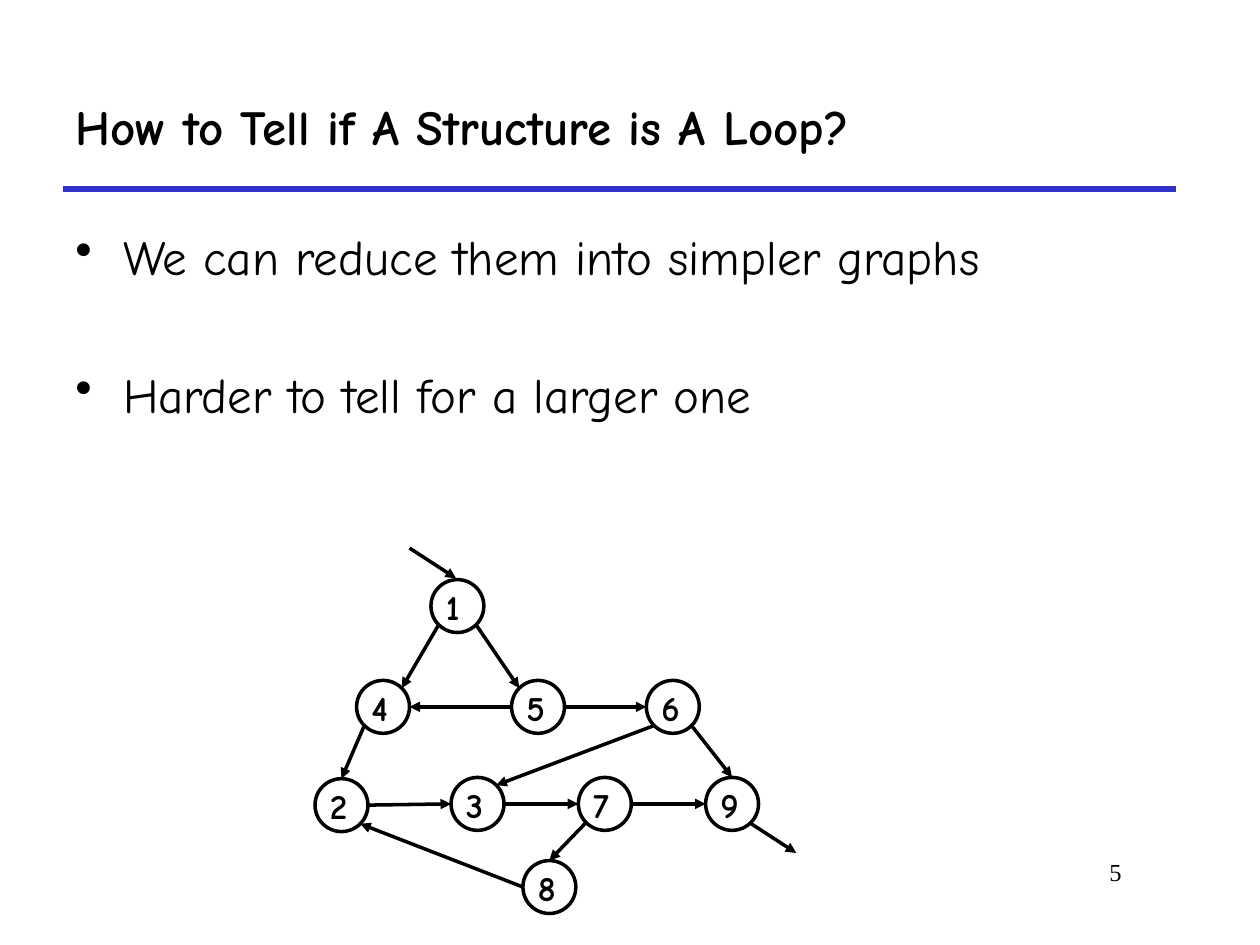
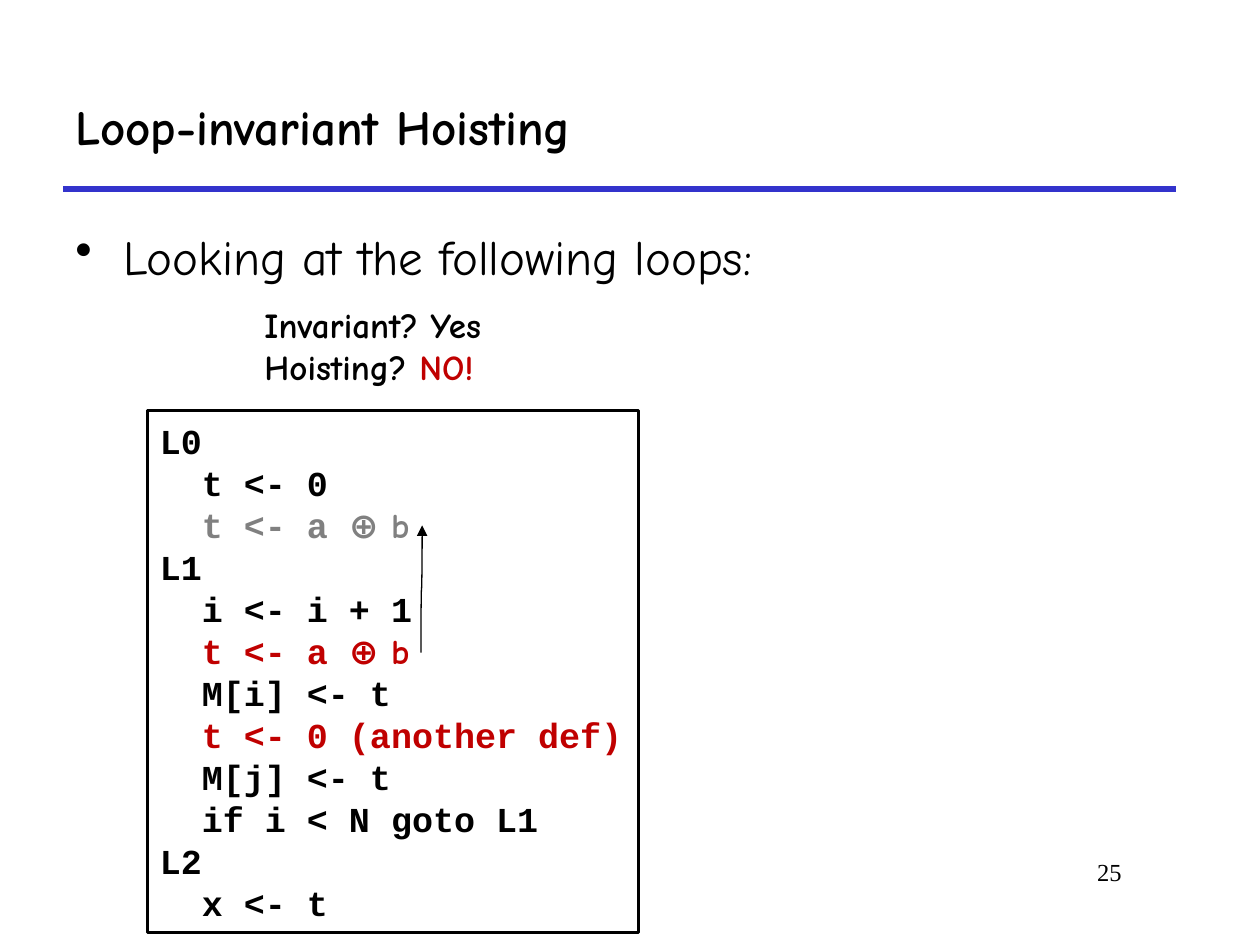
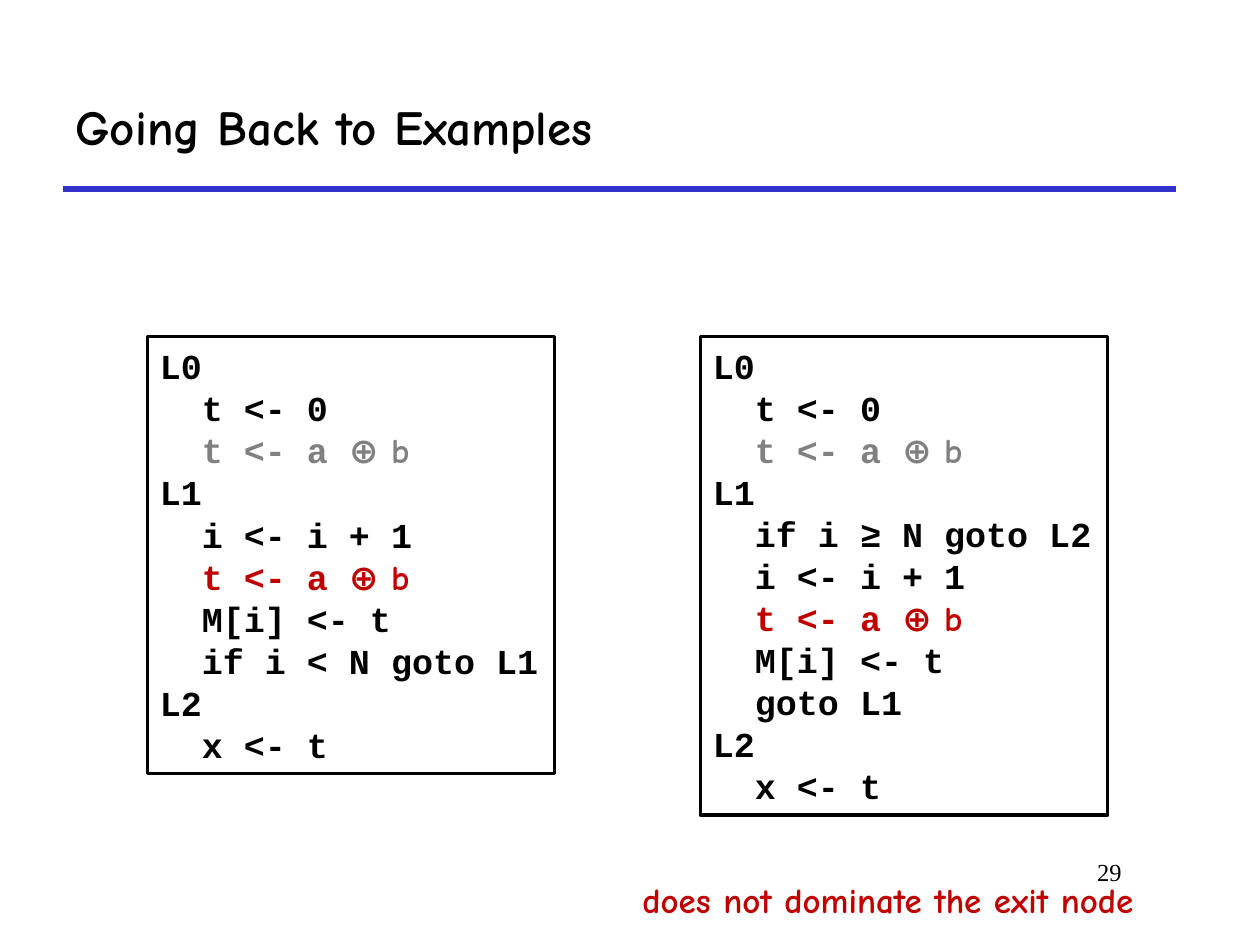
from math import cos, radians, sin

from lxml.etree import SubElement
from pptx import Presentation
from pptx.dml.color import RGBColor
from pptx.enum.shapes import MSO_CONNECTOR, MSO_SHAPE
from pptx.enum.text import MSO_ANCHOR, PP_ALIGN
from pptx.oxml.ns import qn
from pptx.util import Inches, Pt

INK = {"black": "000000", "blue": "3333CC", "grey": "808080", "red": "C00000"}
SANS, MONO, SERIF = "Comic Neue", "Courier New", "Times New Roman"


def write(shape, paras, size, bold=True, wrap=False, anchor=MSO_ANCHOR.TOP):
    """Fill a shape with paragraphs, each a list of (text, colour, font) runs."""
    frame = shape.text_frame
    frame.word_wrap = wrap
    frame.vertical_anchor = anchor
    for i, runs in enumerate(paras):
        para = frame.paragraphs[0] if i == 0 else frame.add_paragraph()
        para.alignment = PP_ALIGN.LEFT
        for text, ink, face in runs:
            run = para.add_run()
            run.text = text
            run.font.size = Pt(size)
            run.font.bold = bold
            run.font.name = face
            run.font.color.rgb = RGBColor.from_string(INK[ink])
    return frame.paragraphs


def draw(slide, start, end, ink="black", width=2, arrow=True,
         kind=MSO_CONNECTOR.STRAIGHT):
    """Draw a connector between two (x, y) points in inches."""
    line = slide.shapes.add_connector(kind, *map(Inches, start + end))
    line.line.color.rgb = RGBColor.from_string(INK[ink])
    line.line.width = Pt(width)
    if arrow:
        SubElement(line.line._ln, qn("a:tailEnd"), type="triangle")
    SubElement(line._element.spPr, qn("a:effectLst"))
    return line


deck = Presentation()
deck.slide_width, deck.slide_height = Inches(10), Inches(7.5)

# Title, rule, page number and bullets of every slide
pages = [
    ("How to Tell if A Structure is A Loop?", "5",
     ["We can reduce them into simpler graphs",
      "Harder to tell for a larger one"]),
    ("Loop-invariant Hoisting", "25", ["Looking at the following loops:"]),
    ("Going Back to Examples", "29", []),
]
slides = []
for title, number, points in pages:
    slide = deck.slides.add_slide(deck.slide_layouts[6])
    slides.append(slide)
    draw(slide, (0.5, 1.5), (9.33, 1.5), "blue", 3, arrow=False)
    box = slide.shapes.add_textbox(Inches(0.5), Inches(0.5), Inches(8.83), Inches(1))
    write(box, [[(title, "black", SANS)]], 28, wrap=True, anchor=MSO_ANCHOR.MIDDLE)
    box = slide.shapes.add_textbox(Inches(7.58), Inches(6.75), Inches(1.42), Inches(0.5))
    paras = write(box, [[(number, "black", SERIF)]], 14, bold=False, wrap=True)
    paras[0].alignment = PP_ALIGN.RIGHT
    if points:
        box = slide.shapes.add_textbox(Inches(0.5), Inches(1.75), Inches(9.08), Inches(4.83))
        paras = write(box, [[(point, "black", SANS)] for point in points], 28,
                      bold=False, wrap=True)
        for i, para in enumerate(paras):
            if i:
                para.space_before = Pt(45)
            props = para._p.get_or_add_pPr()
            props.set("marL", str(Inches(0.38)))
            props.set("indent", str(-Inches(0.38)))
            SubElement(props, qn("a:buChar"), char="•")

graph, hoist, back = slides

# Flow graph: top left corner of each node
SIZE = 0.42
nodes = {
    "1": (3.42, 4.6),
    "4": (2.83, 5.4), "5": (4.06, 5.4), "6": (5.13, 5.4),
    "2": (2.5, 6.18), "3": (3.58, 6.17), "7": (4.59, 6.17), "9": (5.6, 6.17),
    "8": (4.15, 6.83),
}
for name, (x, y) in nodes.items():
    ring = graph.shapes.add_shape(MSO_SHAPE.OVAL, Inches(x), Inches(y),
                                  Inches(SIZE), Inches(SIZE))
    ring.shadow.inherit = False
    ring.fill.background()
    ring.line.color.rgb = RGBColor.from_string(INK["black"])
    ring.line.width = Pt(2)
    label = graph.shapes.add_textbox(Inches(x + 0.02), Inches(y), Inches(0.37), Inches(0.44))
    write(label, [[(name, "black", SANS)]], 20)

# Edges leave and enter a node at an angle, clockwise from the right
edges = [
    ("1", 135, "4", 315), ("1", 45, "5", 225),
    ("5", 0, "6", 180), ("5", 180, "4", 0),
    ("4", 135, "2", 270), ("2", 0, "3", 180),
    ("3", 0, "7", 180), ("7", 0, "9", 180),
    ("6", 135, "3", 315), ("6", 45, "9", 270),
    ("7", 135, "8", 270), ("8", 180, "2", 45),
]
for tail, out, head, into in edges:
    ends = []
    for name, angle in ((tail, out), (head, into)):
        x, y = nodes[name]
        turn = radians(angle)
        ends.append((x + SIZE / 2 * (1 + cos(turn)), y + SIZE / 2 * (1 + sin(turn))))
    draw(graph, *ends)
draw(graph, (3.25, 4.35), (3.62, 4.59))
draw(graph, (5.95, 6.53), (6.32, 6.77))

# Code listings; a coloured line keeps its indent black
first = [("L0", "black"), ("  t <- 0", "black"), ("  t <- a ⊕ b", "grey"), ("L1", "black")]
step = [("  i <- i + 1", "black"), ("  t <- a ⊕ b", "red"), ("  M[i] <- t", "black")]
test = [("  if i < N goto L1", "black")]
last = [("L2", "black"), ("  x <- t", "black")]
again = [("  t <- 0 (another def)", "red"), ("  M[j] <- t", "black")]
guard = [("  if i ≥ N goto L2", "black")]
jump = [("  goto L1", "black")]
lists = [
    (hoist, (1.17, 3.26, 3.9, 4.14), first + step + again + test + last),
    (back, (5.56, 2.67, 3.23, 3.8), first + guard + step + jump + last),
    (back, (1.17, 2.67, 3.23, 3.47), first + step + test + last),
]
for slide, place, code in lists:
    box = slide.shapes.add_shape(MSO_SHAPE.RECTANGLE, *map(Inches, place))
    box.shadow.inherit = False
    box.fill.background()
    box.line.color.rgb = RGBColor.from_string(INK["black"])
    box.line.width = Pt(2)
    rows = []
    for text, ink in code:
        if ink == "black":
            rows.append([(text, ink, MONO)])
            continue
        left, plus, right = text.strip().partition("⊕")
        runs = [("  ", "black", MONO), (left, ink, MONO)]
        if plus:
            runs.append((plus + right, ink, SANS))
        rows.append(runs)
    for para in write(box, rows, 20, anchor=MSO_ANCHOR.MIDDLE):
        para.line_spacing = Pt(24)

# Remarks beside the listings
note = hoist.shapes.add_textbox(Inches(2), Inches(2.36), Inches(2.12), Inches(0.77))
write(note, [[("Invariant? Yes", "black", SANS)],
             [("Hoisting? ", "black", SANS), ("NO!", "red", SANS)]], 20)
note = back.shapes.add_textbox(Inches(5), Inches(6.92), Inches(4.43), Inches(0.44))
write(note, [[("does not dominate the exit node", "red", SANS)]], 20)

# The hoisting arrow is laid flat, then turned upright
curve = draw(hoist, (3.85, 4.68), (2.84, 4.67), width=0.75, kind=MSO_CONNECTOR.CURVE)
curve._element.spPr.find(qn("a:xfrm")).set("rot", str(90 * 60000))

deck.save("out.pptx")
